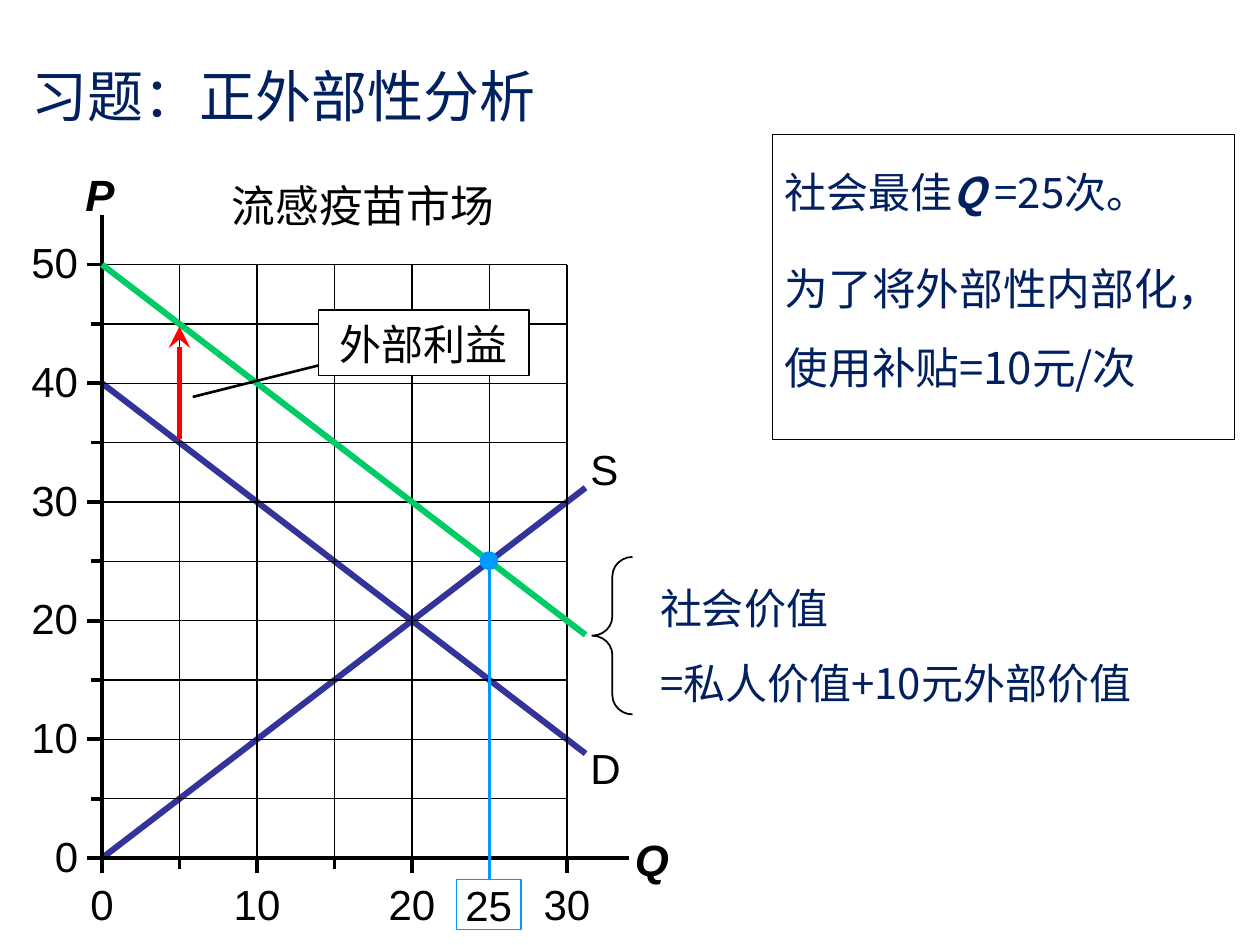
from lxml.etree import SubElement
from pptx import Presentation
from pptx.dml.color import RGBColor
from pptx.enum.shapes import MSO_CONNECTOR, MSO_SHAPE
from pptx.enum.text import MSO_ANCHOR, PP_ALIGN
from pptx.oxml.ns import qn
from pptx.util import Inches, Pt

HEX = {"navy": "002060", "black": "000000", "white": "FFFFFF", "curve": "333399",
       "green": "00CC66", "red": "FF0000", "blue": "0099FF"}
LATIN, HAN = "Arial", "Noto Sans CJK SC"


def paint(color):
    return RGBColor.from_string(HEX[color])


def style(run, size, color="black", face=LATIN, strong=False):
    font = run.font
    font.size, font.name = Pt(size), face
    font.bold = font.italic = strong
    font.color.rgb = paint(color)
    SubElement(run._r.get_or_add_rPr(), qn("a:ea")).set("typeface", HAN)


def line(slide, start, end, width=0.75, color="black", arrow=False):
    link = slide.shapes.add_connector(
        MSO_CONNECTOR.STRAIGHT, *[Inches(v) for v in (*start, *end)])
    link.line.width = Pt(width)
    link.line.color.rgb = paint(color)
    if arrow:
        tip = SubElement(link.line._get_or_add_ln(), qn("a:tailEnd"))
        for key, value in (("type", "stealth"), ("w", "lg"), ("len", "lg")):
            tip.set(key, value)
    SubElement(link._element.spPr, qn("a:effectLst"))


def shape(slide, kind, box, fill=None, edge=None, width=0.75):
    item = slide.shapes.add_shape(kind, *[Inches(v) for v in box])
    item.shadow.inherit = False
    if fill:
        item.fill.solid()
        item.fill.fore_color.rgb = paint(fill)
    else:
        item.fill.background()
    if edge:
        item.line.color.rgb = paint(edge)
        item.line.width = Pt(width)
    else:
        item.line.fill.background()
    return item


def label(slide, box, text, size=24, align=PP_ALIGN.LEFT, strong=False, inset=True):
    item = slide.shapes.add_textbox(*[Inches(v) for v in box])
    frame = item.text_frame
    frame.word_wrap = False
    if not inset:
        frame.margin_left = frame.margin_right = 0
        frame.margin_top = frame.margin_bottom = 0
    frame.text = text
    frame.paragraphs[0].alignment = align
    style(frame.paragraphs[0].runs[0], size, strong=strong)


def write(frame, rows, gap=0):
    frame.word_wrap = True
    frame.vertical_anchor = MSO_ANCHOR.TOP
    for i, (size, parts) in enumerate(rows):
        para = frame.paragraphs[0] if i == 0 else frame.add_paragraph()
        para.alignment = PP_ALIGN.LEFT
        para.line_spacing = 1.5
        if i:
            para.space_before = Pt(gap)
        for text, strong in parts:
            run = para.add_run()
            run.text = text
            style(run, size, "navy", HAN, strong)


def head(slide, box):
    title = slide.shapes.title
    title.left, title.top, title.width, title.height = [Inches(v) for v in box]
    frame = title.text_frame
    frame.text = "习题：正外部性分析"
    frame.vertical_anchor = MSO_ANCHOR.MIDDLE
    frame.paragraphs[0].alignment = PP_ALIGN.LEFT
    style(frame.paragraphs[0].runs[0], 32, "navy", HAN)


def answer(slide, box):
    card = shape(slide, MSO_SHAPE.RECTANGLE, box, "white", "black")
    write(card.text_frame, [
        (24, [("社会最佳", False), ("Q ", True), ("=25次。", False)]),
        (25, [("为了将外部性内部化，使用补贴=10元/次", False)])], 11)


def value(slide, box):
    x, y, w, h = box
    brace = shape(slide, MSO_SHAPE.LEFT_BRACE, (x, y, 0.32, h), edge="black", width=1)
    brace.adjustments[0] = 0.48
    note = slide.shapes.add_textbox(
        Inches(x + 0.44), Inches(y - 0.05), Inches(w - 0.44), Inches(1.31))
    write(note.text_frame, [(24, [("社会价值", False)]),
                            (24, [("=私人价值+10元外部价值", False)])])


def axes(slide, box, spot):
    x, y, w, h = box
    base = y + h
    for price in range(0, 51, 5):
        level = spot(0, price)[1]
        if price:
            line(slide, (x, level), (x + w, level))
        major = price % 10 == 0
        line(slide, (x - (0.12 if major else 0.09), level), (x, level), 2.13)
        if major:
            wide = 0.19 * len(str(price))
            label(slide, (x - 0.19 - wide, level - 0.22, wide, 0.4), str(price),
                  align=PP_ALIGN.RIGHT, inset=False)
    for count in range(0, 31, 5):
        across = spot(count, 0)[0]
        if count:
            line(slide, (across, y), (across, base))
        major = count % 10 == 0
        line(slide, (across, base + (0.12 if major else 0.09)), (across, base), 2.13)
        if major:
            wide = 0.19 * len(str(count))
            label(slide, (across - wide / 2, base + 0.16, wide, 0.4), str(count),
                  align=PP_ALIGN.CENTER, inset=False)
    line(slide, (x, y - 0.39), (x, base), 2.13)
    line(slide, (x, base), (x + w + 0.49, base), 2.13)
    label(slide, (x - 0.23, y - 0.82, 0.51, 0.52), "P", 25, strong=True)
    label(slide, (x + w + 0.44, base - 0.25, 0.56, 0.52), "Q", 25, strong=True)


def market(slide, box):
    x, y, w, h = box

    def spot(count, price):
        return x + w * count / 30, y + h * (1 - price / 50)

    label(slide, (x + 0.93, y - 0.73, 2.31, 0.52), "流感疫苗市场", 25)
    far = 31.2
    line(slide, spot(0, 40), spot(far, 40 - far), 3.5, "curve")
    line(slide, spot(0, 0), spot(far, far), 3.5, "curve")
    for name, price, rise in (("D", 40 - far, 0.14), ("S", far, 0.4)):
        right, level = spot(far, price)
        label(slide, (right - 0.06, level - rise, 0.45, 0.5), name)
    axes(slide, box, spot)
    line(slide, spot(0, 50), spot(far, 50 - far), 3.5, "green")
    line(slide, spot(5, 35.3), spot(5, 44.8), 2.5, "red", True)

    line(slide, (x + 0.72, y + 1.05), (x + 1.84, y + 0.77), 1.5)
    tag = shape(slide, MSO_SHAPE.RECTANGLE, (x + 1.72, y + 0.36, 1.67, 0.52),
                "white", "black")
    tag.text_frame.text = "外部利益"
    para = tag.text_frame.paragraphs[0]
    para.alignment, para.line_spacing = PP_ALIGN.CENTER, 1.05
    style(para.runs[0], 24)

    across, level = spot(25, 25)
    foot = y + h + 0.17
    line(slide, (across, foot), (across, level), 1.5, "blue")
    shape(slide, MSO_SHAPE.OVAL, (across - 0.08, level - 0.08, 0.15, 0.15), "blue")
    shape(slide, MSO_SHAPE.RECTANGLE, (across - 0.26, foot, 0.51, 0.4), edge="blue")
    label(slide, (across - 0.29, foot - 0.05, 0.57, 0.5), "25")


def main():
    deck = Presentation()
    deck.slide_width, deck.slide_height = Inches(10), Inches(7.5)
    slide = deck.slides.add_slide(deck.slide_layouts[5])
    head(slide, (0.15, 0.5, 5.43, 0.51))
    answer(slide, (6.13, 1.07, 3.67, 2.42))
    market(slide, (0.81, 2.1, 3.69, 4.71))
    value(slide, (4.7, 4.42, 4.94, 1.25))
    deck.save("out.pptx")


if __name__ == "__main__":
    main()
